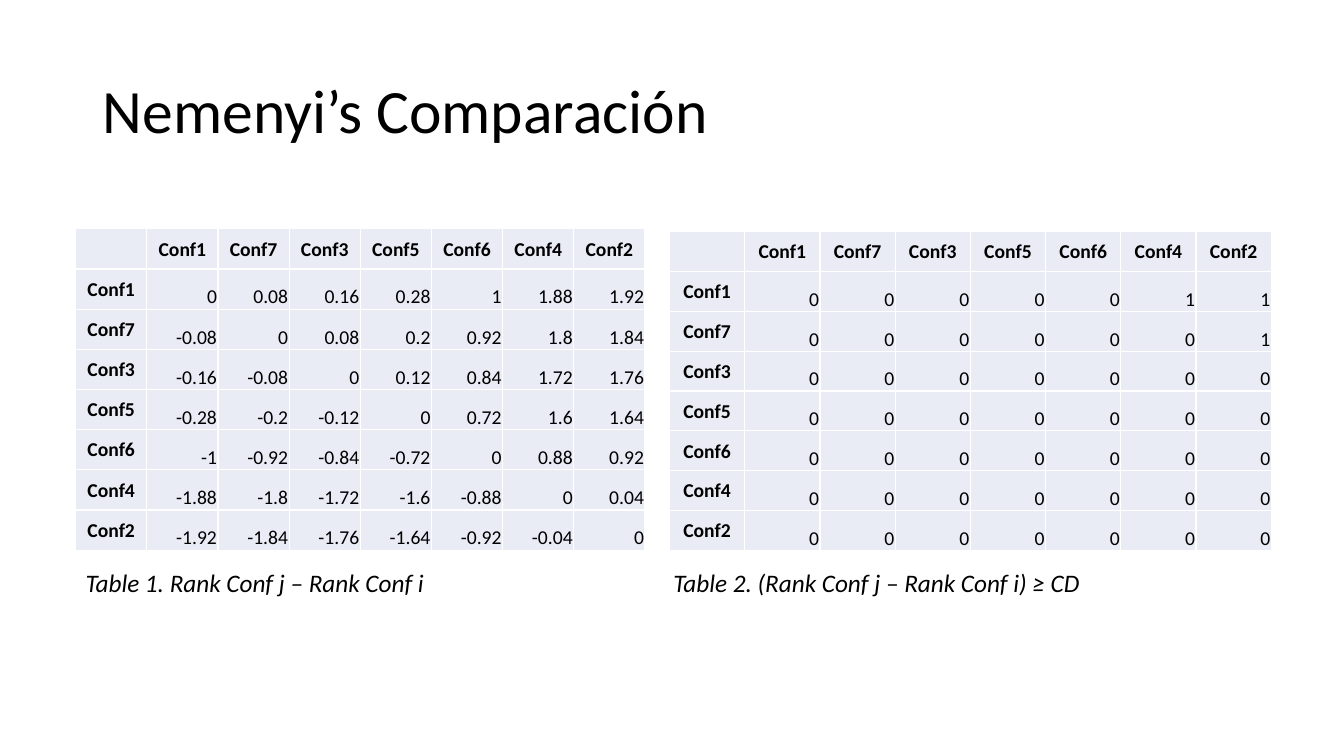
from lxml import etree
from pptx import Presentation
from pptx.dml.color import RGBColor
from pptx.enum.text import MSO_ANCHOR, MSO_AUTO_SIZE, PP_ALIGN
from pptx.oxml.ns import qn
from pptx.util import Inches, Pt

LEFT, CENTER, RIGHT = PP_ALIGN.LEFT, PP_ALIGN.CENTER, PP_ALIGN.RIGHT
MIDDLE, BOTTOM = MSO_ANCHOR.MIDDLE, MSO_ANCHOR.BOTTOM
GROW = MSO_AUTO_SIZE.SHAPE_TO_FIT_TEXT
TITLE_ONLY = 5

FONT = "Calibri"
BLACK, WHITE, CELL_FILL = "000000", "FFFFFF", "E9EBF5"

# Rank of each configuration, relative to the best one
RANKS = {"Conf1": 0, "Conf7": 0.08, "Conf3": 0.16, "Conf5": 0.28,
         "Conf6": 1, "Conf4": 1.88, "Conf2": 1.92}
CD = 1.82  # cut-off that separates the 0 and 1 entries


def rgb(color):
    """Turn a hex string into a colour."""
    return RGBColor.from_string(color)


def write(tf, text, size, align=LEFT, bold=False, italic=False):
    """Write one formatted run into the first paragraph of a text frame."""
    p = tf.paragraphs[0]
    p.alignment = align
    r = p.add_run()
    r.text = text
    r.font.name, r.font.size = FONT, Pt(size)
    r.font.bold, r.font.italic = bold, italic
    r.font.color.rgb = rgb(BLACK)
    return p


def add_title(slide, text):
    """Place and fill the title placeholder."""
    sp = slide.shapes.title
    sp.left, sp.top = Inches(0.92), Inches(0.4)
    sp.width, sp.height = Inches(11.5), Inches(1.45)
    sp.text_frame.vertical_anchor = MIDDLE
    write(sp.text_frame, text, 44).line_spacing = 0.9


def add_caption(slide, text, left):
    """Add an italic caption below a table."""
    sp = slide.shapes.add_textbox(Inches(left), Inches(5.58), Inches(5.1), Inches(0.4))
    tf = sp.text_frame
    tf.word_wrap = True
    tf.auto_size = GROW
    write(tf, text, 18, italic=True)


def style_cell(cell):
    """Set the margins, white borders and fill of a table cell."""
    cell.margin_left = cell.margin_right = cell.margin_top = Inches(0.01)
    cell.margin_bottom = 0
    tc_pr = cell._tc.get_or_add_tcPr()
    for side in ("a:lnL", "a:lnR", "a:lnT", "a:lnB"):
        ln = etree.SubElement(tc_pr, qn(side), w=str(Pt(1)))
        fill = etree.SubElement(ln, qn("a:solidFill"))
        etree.SubElement(fill, qn("a:srgbClr"), val=WHITE)
    cell.fill.solid()
    cell.fill.fore_color.rgb = rgb(CELL_FILL)


def add_matrix(slide, names, values, left, top, width, height):
    """Add a square table with the same names as row and column headers."""
    rows = [["", *names]] + [[name, *row] for name, row in zip(names, values)]
    n = len(rows)
    frame = slide.shapes.add_table(n, n, Inches(left), Inches(top),
                                   Inches(width), Inches(height))
    table = frame.table
    table.first_row = table.horz_banding = False
    for i, row in enumerate(rows):
        for j, text in enumerate(row):
            cell = table.cell(i, j)
            style_cell(cell)
            header = i == 0 or j == 0
            cell.vertical_anchor = MIDDLE if header else BOTTOM
            if text:
                write(cell.text_frame, text, 14,
                      align=CENTER if header else RIGHT, bold=header)


def main():
    """Build the slide with both comparison tables."""
    prs = Presentation()
    prs.slide_width, prs.slide_height = Inches(13.33), Inches(7.5)
    slide = prs.slides.add_slide(prs.slide_layouts[TITLE_ONLY])
    add_title(slide, "Nemenyi’s Comparación ")

    ranks = RANKS.values()
    differences = [[round(rj - ri, 2) for rj in ranks] for ri in ranks]
    shown = [[f"{d:g}" for d in row] for row in differences]
    significant = [[str(int(d >= CD)) for d in row] for row in differences]
    add_matrix(slide, RANKS, shown, 0.75, 2.27, 5.65, 3.19)
    add_matrix(slide, RANKS, significant, 6.64, 2.3, 5.97, 3.16)

    add_caption(slide, "Table 1. Rank Conf j – Rank Conf i", 0.75)
    add_caption(slide, "Table 2. (Rank Conf j – Rank Conf i) ≥ CD", 6.58)
    prs.save("out.pptx")


main()
